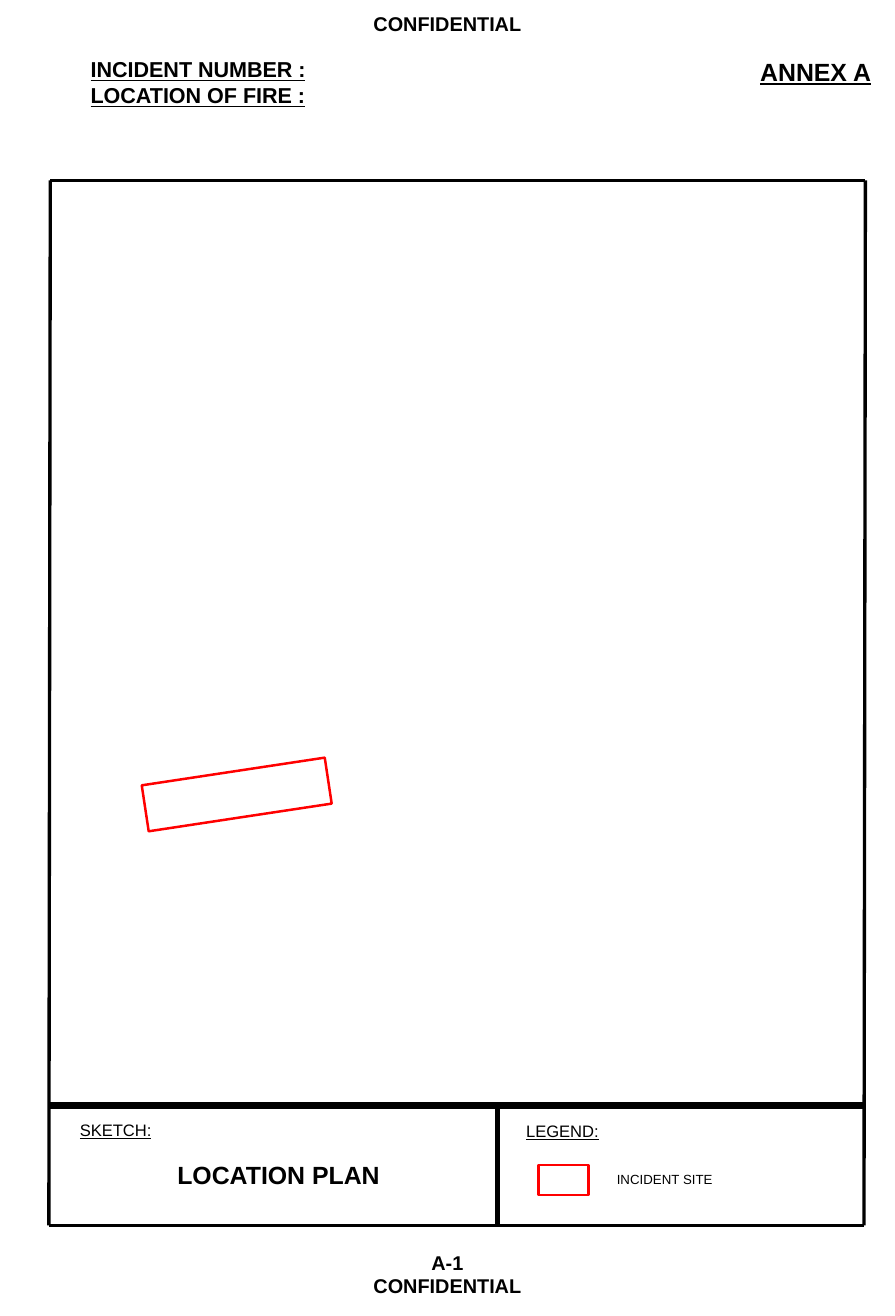
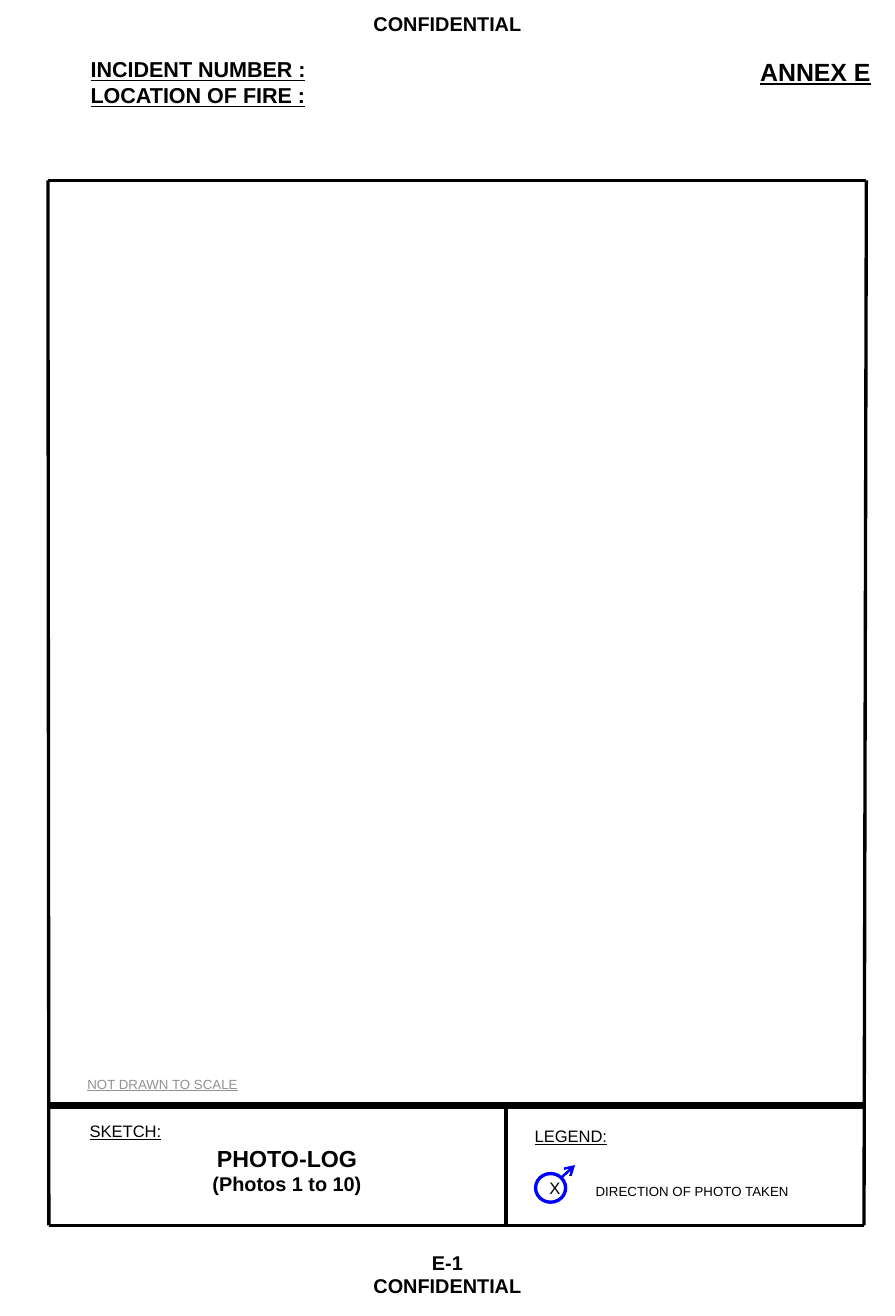
"""Build the annex pages of a fire report: location plan and photo log."""
from lxml import etree
from pptx import Presentation
from pptx import util as u
from pptx.dml.color import RGBColor
from pptx.enum import shapes, text
from pptx.oxml import ns

WIDE, TALL = 19.05, 28
TOP, RULE, BASE = 3.84, 23.52, 26.07
FOOT_L, FOOT_R = 1.04, 18.39
BLACK, WHITE, GREY, RED, BLUE = "000000", "FFFFFF", "919191", "FF0000", "0000FF"
PADS = {"margin_left": 0.23, "margin_right": 0.23,
        "margin_top": 0.11, "margin_bottom": 0.11}
HEAD = {"size": 13, "bold": True, "underline": True}
ANNEX = {"size": 15, "bold": True, "underline": True}
MARK = {"size": 12, "bold": True}
TITLE = {"size": 15, "bold": True}
LABEL = {"size": 10, "underline": True}
NOTE = {"size": 8}


def color(code):
    """Turn a hex string into a colour."""
    return RGBColor.from_string(code)


def cm(*nums):
    """Turn numbers into lengths in centimetres."""
    return [u.Cm(num) for num in nums]


def style(run, form, ink=BLACK):
    """Apply the format values to a run."""
    for key, val in form.items():
        setattr(run.font, key, u.Pt(val) if key == "size" else val)
    run.font.name = "Arial"
    run.font.color.rgb = color(ink)


def write(page, box, *lines, ink=BLACK, wrap=False, mid=False):
    """Add a text box from pairs of wording and format."""
    frame = page.shapes.add_textbox(*cm(*box)).text_frame
    for key, val in PADS.items():
        setattr(frame, key, u.Cm(val))
    frame.word_wrap = wrap
    kind = text.MSO_AUTO_SIZE
    frame.auto_size = kind.NONE if wrap else kind.SHAPE_TO_FIT_TEXT
    for at, (words, form) in enumerate(lines):
        para = frame.add_paragraph() if at else frame.paragraphs[0]
        para.alignment = text.PP_ALIGN.CENTER if mid else text.PP_ALIGN.LEFT
        run = para.add_run()
        run.text = words
        style(run, form, ink)


def stroke(page, ends, width, ink=BLACK, arrow=False):
    """Add a straight line, with an arrowhead if asked."""
    line = page.shapes.add_connector(shapes.MSO_CONNECTOR.STRAIGHT, *cm(*ends))
    line.line.width = u.Pt(width)
    line.line.color.rgb = color(ink)
    props = line._element.spPr
    if arrow:
        tip = etree.SubElement(props.find(ns.qn("a:ln")), ns.qn("a:tailEnd"))
        tip.set("type", "arrow")
    etree.SubElement(props, ns.qn("a:effectLst"))


def shape(page, kind, box, width, ink, fill=None, turn=0):
    """Add an outlined preset shape."""
    item = page.shapes.add_shape(kind, *cm(*box))
    item.shadow.inherit = False
    item.rotation = turn
    item.line.width = u.Pt(width)
    item.line.color.rgb = color(ink)
    if fill:
        item.fill.solid()
        item.fill.fore_color.rgb = color(fill)
    else:
        item.fill.background()
    return item


def sheet(deck, mark, left, right, split):
    """Add a page with its heading, footer and ruled frame."""
    page = deck.slides.add_slide(deck.slide_layouts[6])
    write(page, (15.95, 1.09, 2.84, 0.86), (f"ANNEX {mark}", ANNEX))
    write(page, (1.7, 1.09, 5.23, 1.35), ("INCIDENT NUMBER :", HEAD),
          ("LOCATION OF FIRE :", HEAD), wrap=True)
    secret = ("CONFIDENTIAL", MARK)
    write(page, (0, 0.13, WIDE, 0.74), secret, wrap=True, mid=True)
    write(page, (0, 26.49, WIDE, 1.24), (f"{mark}-1", MARK), secret,
          wrap=True, mid=True)
    for ends, width in (((left, TOP, right, TOP), 2),
                        ((FOOT_L, BASE, FOOT_R, BASE), 2),
                        ((FOOT_L, RULE, FOOT_R, RULE), 4),
                        ((split, RULE, split, BASE), 3),
                        ((left, TOP, FOOT_L, BASE), 2),
                        ((right, TOP, FOOT_R, BASE), 2)):
        stroke(page, ends, width)
    return page


def plan(deck):
    """Add the location plan."""
    page = sheet(deck, "A", 1.07, 18.42, 10.59)
    rect = shapes.MSO_SHAPE.RECTANGLE
    write(page, (1.47, 23.72, 2.01, 0.66), ("SKETCH:", LABEL))
    write(page, (1.27, 24.56, 9.32, 0.86), ("LOCATION PLAN", TITLE),
          wrap=True, mid=True)
    write(page, (10.97, 23.75, 2.03, 0.66), ("LEGEND:", LABEL))
    shape(page, rect, (11.46, 24.79, 1.07, 0.64), 1.5, RED)
    write(page, (12.9, 24.82, 2.57, 0.61), ("INCIDENT SITE", NOTE))
    shape(page, rect, (3.07, 16.41, 3.94, 0.99), 1.5, RED, turn=351.4)


def photos(deck):
    """Add the photo log."""
    page = sheet(deck, "E", 1.02, 18.44, 10.77)
    write(page, (1.68, 23.75, 2.01, 0.66), ("SKETCH:", LABEL))
    write(page, (1.45, 24.23, 9.32, 1.85),
          ("PHOTO-LOG", {**TITLE, "size": 14}), ("(Photos 1 to 10)", MARK),
          wrap=True, mid=True)
    write(page, (11.15, 23.85, 2.06, 0.66), ("LEGEND:", LABEL))
    write(page, (12.45, 25.07, 4.67, 0.56), ("DIRECTION OF PHOTO TAKEN", NOTE))
    stroke(page, (11.71, 25.27, 12.24, 24.79), 1.5, BLUE, arrow=True)
    spot = shape(page, shapes.MSO_SHAPE.OVAL, (11.4, 24.97, 0.64, 0.61),
                 2, BLUE, WHITE)
    para = spot.text_frame.paragraphs[0]
    para.alignment = text.PP_ALIGN.CENTER
    run = para.add_run()
    run.text = "X"
    style(run, {"size": 10})
    write(page, (1.63, 22.78, 3.76, 0.61),
          ("NOT DRAWN TO SCALE", {**NOTE, "underline": True}), ink=GREY)


def main():
    """Build and save the deck."""
    deck = Presentation()
    deck.slide_width, deck.slide_height = cm(WIDE, TALL)
    plan(deck)
    photos(deck)
    deck.save("out.pptx")


if __name__ == "__main__":
    main()
